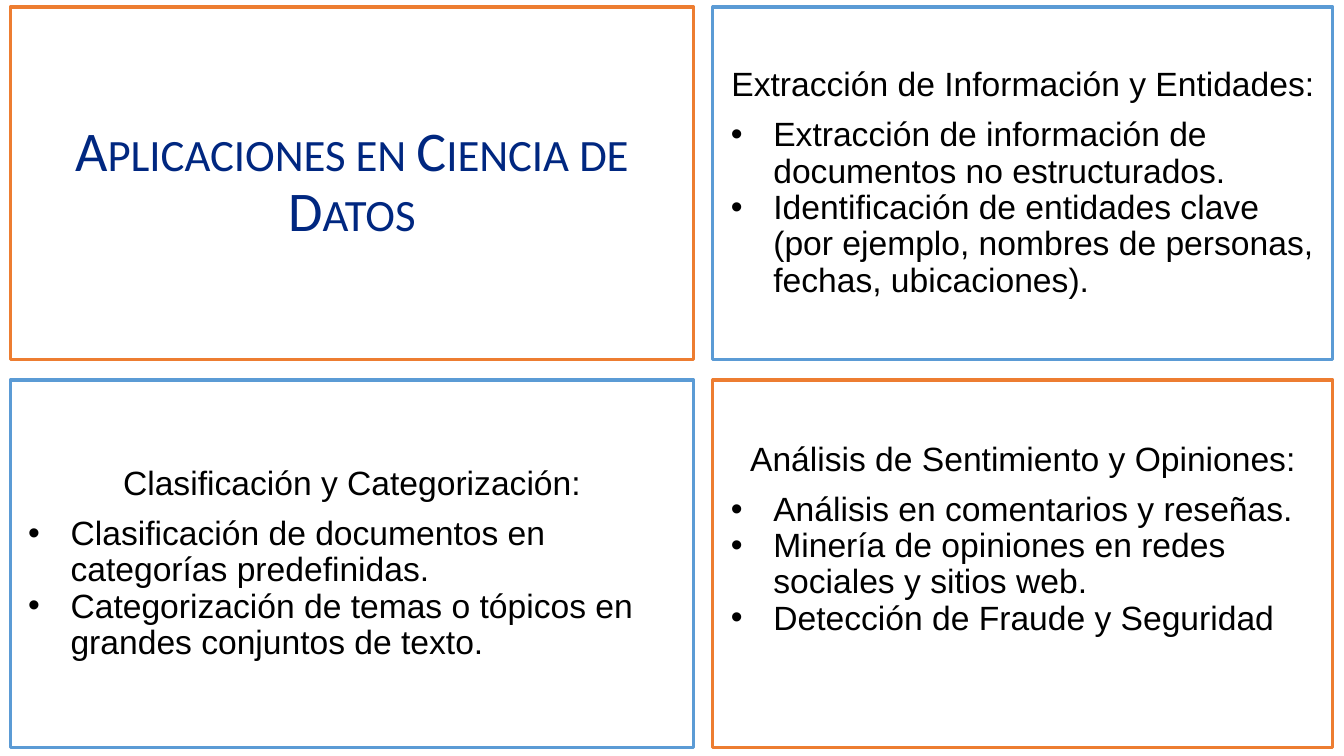
from lxml.etree import SubElement
from pptx import Presentation
from pptx.dml.color import RGBColor
from pptx.enum.text import MSO_ANCHOR as Anchor, MSO_AUTO_SIZE as AutoSize, PP_ALIGN as Align
from pptx.oxml.ns import qn
from pptx.util import Inches, Pt

BLUE = RGBColor(0x5B, 0x9B, 0xD5)
ORANGE = RGBColor(0xED, 0x7D, 0x31)
NAVY = RGBColor(0x00, 0x27, 0x80)
BLACK = RGBColor(0x00, 0x00, 0x00)

COLUMNS = [(0.1, 6.78), (7.07, 6.15)]
ROWS = [(0.07, 3.5), (3.77, 3.65)]
TITLE_FONT = {"name": "Calibri", "size": Pt(40), "bold": False}
BODY_FONT = {"name": "Arial", "size": Pt(24), "bold": False}

PANELS = [
    (0, 0, 0, ORANGE, 0.05, "Aplicaciones en Ciencia de Datos", []),
    (1, 1, 0, BLUE, 0.05, "Extracción de Información y Entidades:", [
        "Extracción de información de documentos no estructurados.",
        "Identificación de entidades clave (por ejemplo, nombres de personas, fechas, ubicaciones).",
    ]),
    (2, 0, 1, BLUE, 0.05, "Clasificación y Categorización:", [
        "Clasificación de documentos en categorías predefinidas.",
        "Categorización de temas o tópicos en grandes conjuntos de texto.",
    ]),
    (3, 1, 1, ORANGE, 0.53, "Análisis de Sentimiento y Opiniones:", [
        "Análisis en comentarios y reseñas.",
        "Minería de opiniones en redes sociales y sitios web.",
        "Detección de Fraude y Seguridad",
    ]),
]


def set_all(target, values):
    for name, value in values.items():
        setattr(target, name, value)


def write_paragraph(para, text, font, color, align, before):
    set_all(para, {"alignment": align, "line_spacing": 0.9,
                   "space_before": Pt(before), "space_after": Pt(0)})
    span = para.add_run()
    span.text = text
    set_all(span.font, font)
    span.font.color.rgb = color
    return span


deck = Presentation()
deck.slide_width = Inches(13.33)
deck.slide_height = Inches(7.5)
page = deck.slides.add_slide(deck.slide_layouts[4])
boxes = {box.placeholder_format.idx: box for box in page.placeholders}

for index, column, row, border, bottom, heading, items in PANELS:
    box = boxes.pop(index)
    left, width = COLUMNS[column]
    top, height = ROWS[row]
    set_all(box, {"left": Inches(left), "top": Inches(top),
                  "width": Inches(width), "height": Inches(height)})
    box.line.color.rgb = border
    box.line.width = Pt(2.25)
    frame = box.text_frame
    set_all(frame, {"word_wrap": True, "auto_size": AutoSize.NONE,
                    "vertical_anchor": Anchor.MIDDLE,
                    "margin_left": Inches(0.1), "margin_right": Inches(0.1),
                    "margin_top": Inches(0.05), "margin_bottom": Inches(bottom)})

    para = frame.paragraphs[0]
    if index == 0:
        span = write_paragraph(para, heading, TITLE_FONT, NAVY, Align.CENTER, 0)
        span.font._element.set("cap", "small")
        continue

    write_paragraph(para, heading, BODY_FONT, BLACK, Align.CENTER, 10)
    properties = para._p.get_or_add_pPr()
    properties.set("marL", "0")
    properties.set("indent", "0")
    SubElement(properties, qn("a:buNone"))

    for number, item in enumerate(items):
        para = frame.add_paragraph()
        write_paragraph(para, item, BODY_FONT, BLACK, Align.LEFT, 0 if number else 10)
        properties = para._p.get_or_add_pPr()
        properties.set("marL", str(Inches(0.5)))
        properties.set("indent", str(Inches(-0.42)))
        bullet_color = SubElement(properties, qn("a:buClr"))
        SubElement(bullet_color, qn("a:srgbClr"), val=str(BLACK))
        SubElement(properties, qn("a:buFont"), typeface="Arial")
        SubElement(properties, qn("a:buChar"), char="•")

for box in boxes.values():
    box._element.getparent().remove(box._element)

deck.save("out.pptx")
